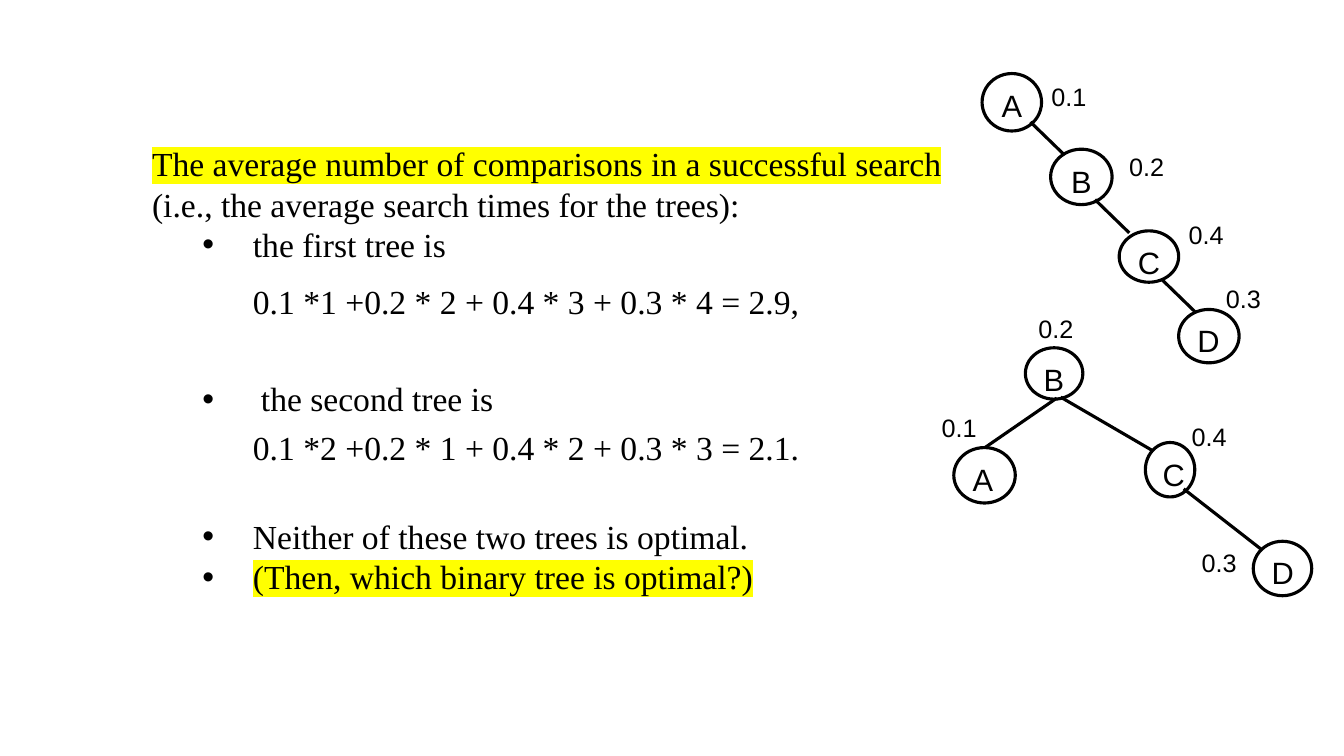
from dataclasses import dataclass
from typing import Optional

from lxml import etree
from pptx import Presentation
from pptx.dml.color import RGBColor
from pptx.enum.shapes import MSO_CONNECTOR, MSO_SHAPE
from pptx.enum.text import MSO_ANCHOR, MSO_AUTO_SIZE, PP_ALIGN
from pptx.oxml.ns import qn
from pptx.util import Cm, Pt

ELLIPSE = MSO_SHAPE.OVAL
STRAIGHT = MSO_CONNECTOR.STRAIGHT
TOP = MSO_ANCHOR.TOP
GROW = MSO_AUTO_SIZE.SHAPE_TO_FIT_TEXT
LEFT, CENTER = PP_ALIGN.LEFT, PP_ALIGN.CENTER


@dataclass(frozen=True)
class Theme:
    ink: RGBColor = RGBColor(0, 0, 0)
    paper: RGBColor = RGBColor(255, 255, 255)
    marker: str = "FFFF00"
    body_font: str = "Times New Roman"
    tree_font: str = "Arial"
    body_size: float = 24
    node_size: float = 22
    weight_size: float = 18
    stroke: float = 2.25
    leading: float = 1.2


THEME = Theme()
BLANK_LINE = THEME.body_size * THEME.leading


@dataclass(frozen=True)
class Line:
    text: str
    margin: float = 0
    bullet: bool = False
    after: float = 0
    marked: bool = False


@dataclass(frozen=True)
class Node:
    key: str
    left: float
    top: float
    width: float
    height: float
    align: PP_ALIGN = LEFT


@dataclass(frozen=True)
class Edge:
    x1: float
    y1: float
    x2: float
    y2: float


@dataclass(frozen=True)
class Weight:
    value: str
    left: float
    top: float


BULLET_LEFT = 0.5
LINES = [
    Line("The average number of comparisons in a successful search", marked=True),
    Line("(i.e., the average search times for the trees):"),
    Line("the first tree is", 1, True, 12),
    Line("0.1 *1 +0.2 * 2 + 0.4 * 3 + 0.3 * 4 = 2.9,", 1, after=12 + BLANK_LINE),
    Line("the second tree is", 1.08, True, 6),
    Line("0.1 *2 +0.2 * 1 + 0.4 * 2 + 0.3 * 3 = 2.1.", 1, after=6 + BLANK_LINE),
    Line("Neither of these two trees is optimal.", 1, True),
    Line("(Then, which binary tree is optimal?)", 1, True, marked=True),
]

# First tree is a chain, second tree is rooted at B
NODES = [
    Node("A", 9.74, 0.73, 0.59, 0.57, CENTER),
    Node("B", 10.42, 1.48, 0.61, 0.55, CENTER),
    Node("C", 11.1, 2.29, 0.59, 0.51),
    Node("D", 11.69, 3.07, 0.6, 0.53),
    Node("B", 10.17, 3.45, 0.57, 0.51),
    Node("A", 9.46, 4.44, 0.61, 0.55),
    Node("C", 11.36, 4.39, 0.49, 0.54),
    Node("D", 12.43, 5.37, 0.58, 0.54),
]
CHAIN_STARTS = [(10.22, 1.21), (10.86, 1.98), (11.52, 2.77)]
EDGES = [Edge(x, y, x + 0.34, y + 0.33) for x, y in CHAIN_STARTS] + [
    Edge(10.48, 3.95, 9.77, 4.44),
    Edge(10.52, 3.94, 11.43, 4.47),
    Edge(11.74, 4.85, 12.51, 5.45),
]
WEIGHTS = [
    Weight("0.1", 10.33, 0.76),
    Weight("0.2", 11.1, 1.45),
    Weight("0.4", 11.69, 2.13),
    Weight("0.3", 12.06, 2.76),
    Weight("0.2", 10.2, 3.06),
    Weight("0.1", 9.24, 4.04),
    Weight("0.4", 11.72, 4.13),
    Weight("0.3", 11.82, 5.38),
]


def inches(value: float) -> Cm:
    return Cm(value * 2.54)


def write(paragraph, text: str, *, font: str, size: float, align: PP_ALIGN = LEFT,
          after: float = 0, highlight: Optional[str] = None) -> None:
    """Fill a paragraph with one formatted run."""
    paragraph.alignment = align
    paragraph.line_spacing = Pt(size * THEME.leading)
    paragraph.space_after = Pt(after)
    run = paragraph.add_run()
    run.text = text
    run.font.size = Pt(size)
    run.font.name = font
    run.font.color.rgb = THEME.ink
    if highlight:
        mark = etree.Element(qn("a:highlight"))
        etree.SubElement(mark, qn("a:srgbClr"), val=highlight)
        run.font._element.find(qn("a:solidFill")).addnext(mark)


def add_box(slide, left: float, top: float, width: float, height: float, wrap: bool):
    box = slide.shapes.add_textbox(inches(left), inches(top), inches(width), inches(height))
    frame = box.text_frame
    frame.word_wrap = wrap
    frame.auto_size = GROW
    return frame


def indent(paragraph, line: Line) -> None:
    paragraph.level = 1
    hanging = BULLET_LEFT - line.margin if line.bullet else 0
    properties = paragraph._p.get_or_add_pPr()
    properties.set("marL", str(inches(line.margin)))
    properties.set("indent", str(inches(hanging)))
    if line.bullet:
        etree.SubElement(properties, qn("a:buFont"), typeface=THEME.tree_font)
        etree.SubElement(properties, qn("a:buChar"), char="•")


def add_explanation(slide) -> None:
    frame = add_box(slide, 1.41, 0.57, 8.19, 5.45, True)
    frame.margin_top = inches(0.85)
    for number, line in enumerate(LINES):
        paragraph = frame.add_paragraph() if number else frame.paragraphs[0]
        if line.margin:
            indent(paragraph, line)
        write(paragraph, line.text, font=THEME.body_font, size=THEME.body_size,
              after=line.after, highlight=THEME.marker if line.marked else None)


def add_node(slide, node: Node) -> None:
    circle = slide.shapes.add_shape(ELLIPSE, inches(node.left), inches(node.top),
                                    inches(node.width), inches(node.height))
    circle.shadow.inherit = False
    circle.fill.solid()
    circle.fill.fore_color.rgb = THEME.paper
    circle.line.color.rgb = THEME.ink
    circle.line.width = Pt(THEME.stroke)
    circle.text_frame.vertical_anchor = TOP
    circle.text_frame.word_wrap = True
    write(circle.text_frame.paragraphs[0], node.key, font=THEME.tree_font,
          size=THEME.node_size, align=node.align)


def add_edge(slide, edge: Edge) -> None:
    branch = slide.shapes.add_connector(STRAIGHT, inches(edge.x1), inches(edge.y1),
                                        inches(edge.x2), inches(edge.y2))
    branch.line.color.rgb = THEME.ink
    branch.line.width = Pt(THEME.stroke)
    etree.SubElement(branch._element.spPr, qn("a:effectLst"))


def add_weight(slide, weight: Weight) -> None:
    frame = add_box(slide, weight.left, weight.top, 0.55, 0.4, False)
    write(frame.paragraphs[0], weight.value, font=THEME.tree_font, size=THEME.weight_size)


def main() -> None:
    deck = Presentation()
    deck.slide_width, deck.slide_height = inches(13.33), inches(7.5)
    slide = deck.slides.add_slide(deck.slide_layouts[6])
    add_explanation(slide)
    # Both search trees with their access probabilities
    for node in NODES:
        add_node(slide, node)
    for edge in EDGES:
        add_edge(slide, edge)
    for weight in WEIGHTS:
        add_weight(slide, weight)
    deck.save("out.pptx")


if __name__ == "__main__":
    main()
